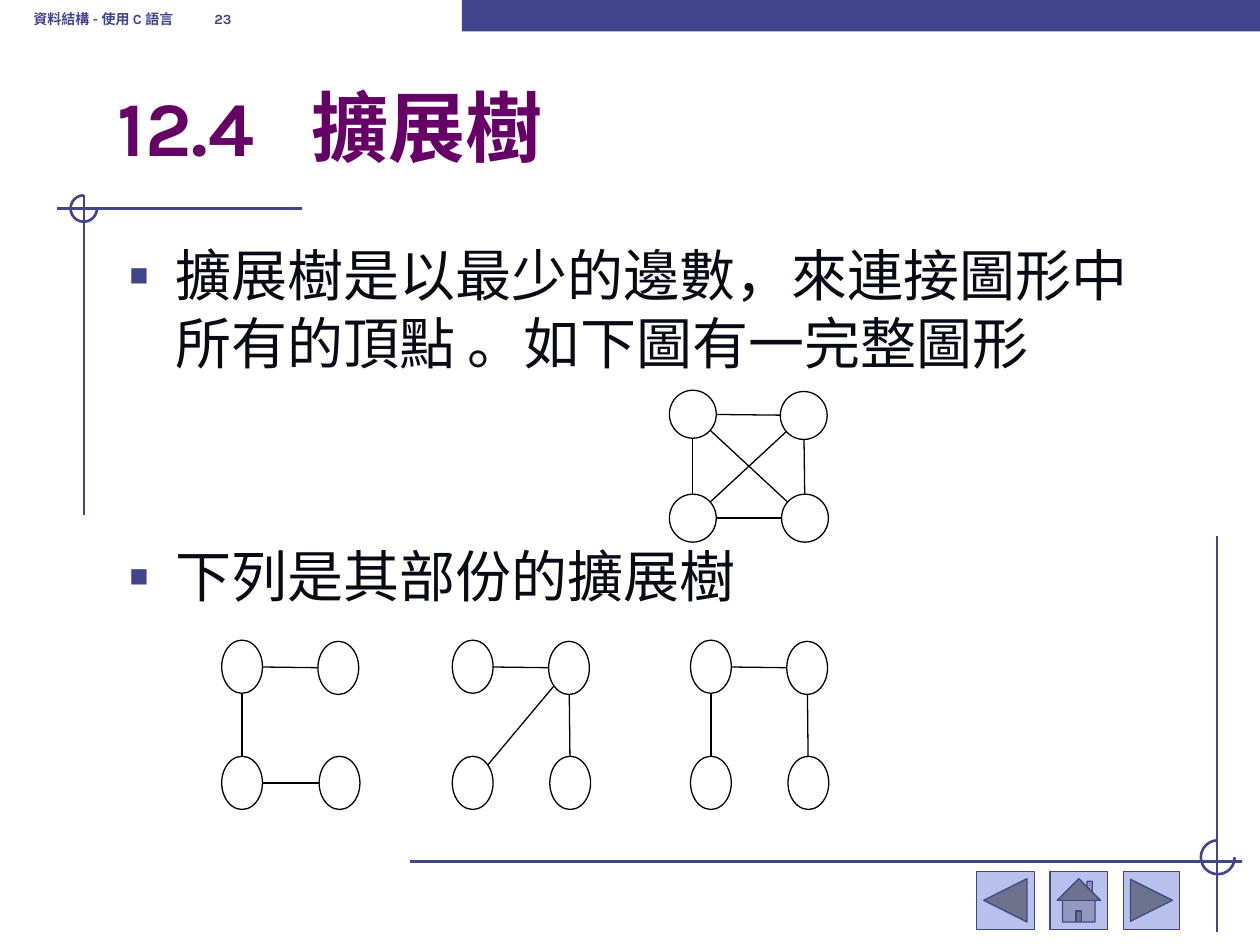
from dataclasses import dataclass
from math import hypot

from lxml.etree import SubElement
from pptx import Presentation
from pptx.dml.color import RGBColor
from pptx.enum.shapes import MSO_CONNECTOR, MSO_SHAPE
from pptx.enum.text import MSO_ANCHOR, MSO_AUTO_SIZE, PP_ALIGN
from pptx.oxml.ns import qn
from pptx.util import Pt


@dataclass(frozen=True)
class Theme:
    navy: str = "40458C"
    button: str = "B7C1EB"
    purple: str = "660066"
    ink: str = "090A15"
    black: str = "000000"
    heading_font: str = "Karla"
    body_font: str = "Arial"
    header_size: float = 8
    title_size: float = 44
    body_size: float = 32
    rule: float = 1.5
    thin: float = 0.75


def color(value):
    return RGBColor.from_string(value)


def write(para, text, *, font, size, fill, bold=False, before=0, tab=None, bullet=None):
    """Write one formatted span, with an optional tab stop or bullet."""
    para.alignment = PP_ALIGN.LEFT
    para.space_before = Pt(before)
    properties = para._p.get_or_add_pPr()
    if bullet:
        indent = Pt(27)
        properties.set("marL", str(indent))
        properties.set("indent", str(-indent))
        tint = SubElement(properties, qn("a:buClr"))
        SubElement(tint, qn("a:srgbClr"), val=bullet)
        SubElement(properties, qn("a:buSzPct"), val="110000")
        SubElement(properties, qn("a:buFont"), typeface=font)
        SubElement(properties, qn("a:buChar"), char="▪")
    if tab:
        stops = SubElement(properties, qn("a:tabLst"))
        SubElement(stops, qn("a:tab"), pos=str(Pt(tab)), algn="l")
    span = para.add_run()
    span.text = text
    span.font.name = font
    span.font.size = Pt(size)
    span.font.bold = bold
    span.font.color.rgb = color(fill)


class Board:
    """Holds the theme and the current page."""

    def __init__(self, page, theme):
        self.page = page
        self.theme = theme

    def shape(self, kind, left, top, width, height, fill=None, line=None, weight=0.75):
        item = self.page.shapes.add_shape(kind, Pt(left), Pt(top), Pt(width), Pt(height))
        item.shadow.inherit = False
        if fill:
            item.fill.solid()
            item.fill.fore_color.rgb = color(fill)
        else:
            item.fill.background()
        if line:
            item.line.color.rgb = color(line)
            item.line.width = Pt(weight)
        else:
            item.line.fill.background()
        return item

    def line(self, start, end, tint, weight):
        item = self.page.shapes.add_connector(
            MSO_CONNECTOR.STRAIGHT, *(Pt(value) for value in (*start, *end)))
        item.line.color.rgb = color(tint)
        item.line.width = Pt(weight)
        SubElement(item._element.spPr, qn("a:effectLst"))

    def corner(self, across, down, arc_left, arc_top, diameter):
        """Two crossing rules with a three-quarter circle."""
        theme = self.theme
        for start, end in (across, down):
            self.line(start, end, theme.navy, theme.rule)
        arc = self.shape(MSO_SHAPE.ARC, arc_left, arc_top, diameter, diameter,
                         line=theme.navy, weight=theme.rule)
        arc.adjustments[0] = 0
        arc.adjustments[1] = 162  # 270 degrees

    def frame(self, box, left, top, width, height, anchor):
        box.left, box.top, box.width, box.height = map(Pt, (left, top, width, height))
        frame = box.text_frame
        frame.word_wrap = True
        frame.auto_size = MSO_AUTO_SIZE.NONE
        frame.vertical_anchor = anchor
        return frame

    def graph(self, left, top, size, step, edges):
        """Four vertices on a slightly skewed square, joined rim to rim."""
        (width, height), (across, down), skew = size, step, 0.7
        corners = {"a": (0, 0), "b": (across, skew),
                   "c": (0, down), "d": (across + skew, down)}
        centers = {}
        for name, (x, y) in corners.items():
            self.shape(MSO_SHAPE.OVAL, left + x, top + y, width, height,
                       line=self.theme.black, weight=self.theme.thin)
            centers[name] = (left + x + width / 2, top + y + height / 2)
        for first, second in edges:
            (x1, y1), (x2, y2) = centers[first], centers[second]
            dx, dy = x2 - x1, y2 - y1
            trim = 1 / hypot(dx / (width / 2), dy / (height / 2))
            self.line((x1 + dx * trim, y1 + dy * trim),
                      (x2 - dx * trim, y2 - dy * trim),
                      self.theme.black, self.theme.thin)


def main():
    deck = Presentation()
    deck.slide_width, deck.slide_height = Pt(720), Pt(540)
    page = deck.slides.add_slide(deck.slide_layouts[1])
    theme = Theme()
    board = Board(page, theme)

    # Frame decoration
    board.corner(((172.8, 119.3), (32.4, 119.3)), ((48, 111.6), (48, 294.5)),
                 40.3, 111.6, 15.1)
    board.shape(MSO_SHAPE.RECTANGLE, 264, 0, 456, 18, fill=theme.navy)
    board.corner(((234, 492.2), (709.9, 492.2)), ((695.5, 306), (695.5, 532.8)),
                 686.2, 480.2, 19.4)

    # Navigation buttons
    for kind, left, width in (
        (MSO_SHAPE.ACTION_BUTTON_BACK_OR_PREVIOUS, 558, 33),
        (MSO_SHAPE.ACTION_BUTTON_HOME, 600, 33),
        (MSO_SHAPE.ACTION_BUTTON_FORWARD_OR_NEXT, 642, 32),
    ):
        board.shape(kind, left, 498, width, 33, theme.button, theme.navy, theme.thin)

    # Running header
    header = board.frame(page.shapes.add_textbox(0, 0, 0, 0),
                         12, -12, 222, 36, MSO_ANCHOR.BOTTOM)
    header.margin_bottom = Pt(8.6)
    write(header.paragraphs[0], "資料結構 - 使用 C 語言\t23", font=theme.heading_font,
          size=theme.header_size, fill=theme.navy, bold=True, tab=103.5)

    # Title and list
    title = board.frame(page.shapes.title, 60, 42, 612, 60, MSO_ANCHOR.BOTTOM)
    write(title.paragraphs[0], "12.4\t擴展樹", font=theme.heading_font,
          size=theme.title_size, fill=theme.purple, bold=True, tab=111)
    body = board.frame(page.placeholders[1], 66, 134, 606, 345.6, MSO_ANCHOR.TOP)
    points = (
        ("擴展樹是以最少的邊數，來連接圖形中所有的頂點 。如下圖有一完整圖形", 0),
        ("下列是其部份的擴展樹", 95),
    )
    for index, (text, before) in enumerate(points):
        para = body.add_paragraph() if index else body.paragraphs[0]
        write(para, text, font=theme.body_font, size=theme.body_size,
              fill=theme.ink, before=before, bullet=theme.navy)

    # Complete graph, then three of its spanning trees
    board.graph(382.5, 223, (26.8, 27.4), (63.4, 59.4),
                ("ab", "cd", "ac", "bd", "cb", "ad"))
    trees = ((126.7, ("ab", "cd", "ac")),
             (258.5, ("ab", "bd", "cb")),
             (394.6, ("ab", "ac", "bd")))
    for left, edges in trees:
        board.graph(left, 365.8, (23.3, 30.4), (55, 66.4), edges)

    deck.save("out.pptx")


if __name__ == "__main__":
    main()
